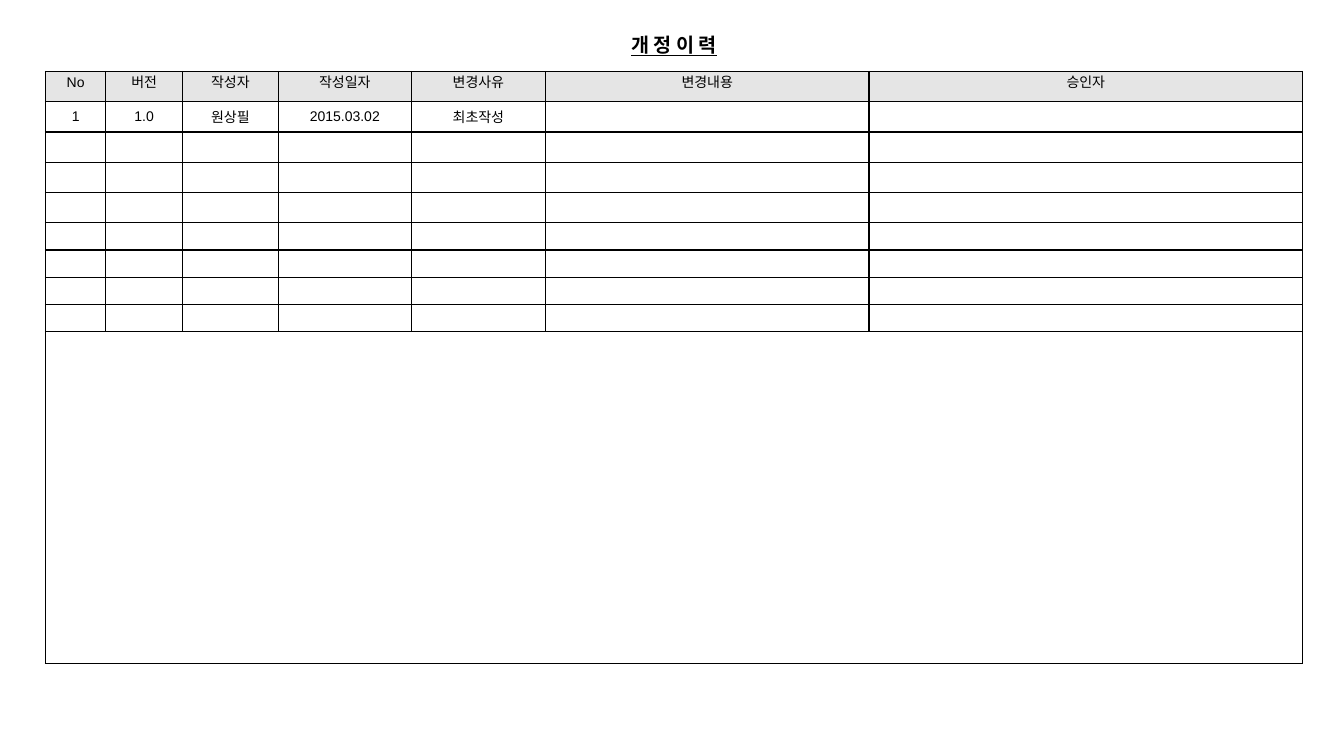
from lxml import etree
from pptx import Presentation
from pptx.dml.color import RGBColor
from pptx.enum.text import MSO_ANCHOR, PP_ALIGN
from pptx.oxml.ns import qn
from pptx.util import Inches, Pt

MIDDLE, CENTER = MSO_ANCHOR.MIDDLE, PP_ALIGN.CENTER
BLACK = RGBColor(0x00, 0x00, 0x00)
HEADER_GRAY = RGBColor(0xE5, 0xE5, 0xE5)
LATIN_FONT, KOREAN_FONT = "Arial", "Noto Sans CJK KR"

TITLE = "개 정 이 력"
HEADERS = ["No", "버전", "작성자", "작성일자", "변경사유", "변경내용", "승인자"]
REVISIONS = [["1", "1.0", "원상필", "2015.03.02", "최초작성", "", ""]]
COLUMN_WIDTHS = [0.6, 0.76, 0.95, 1.32, 1.33, 3.21, 4.3]
ROW_HEIGHTS = [0.3] * 5 + [0.27] * 4 + [3.29]
LEFT, TITLE_TOP, TABLE_TOP = 0.45, 0.26, 0.71
WIDTH, TITLE_HEIGHT = sum(COLUMN_WIDTHS), 0.37

TITLE_FORMAT = {"name": KOREAN_FONT, "size": Pt(14), "bold": True, "underline": True}
CELL_FORMAT = {"name": LATIN_FONT, "size": Pt(10), "bold": False}
CELL_LAYOUT = {"margin_left": 0, "margin_right": 0, "margin_top": 0,
               "margin_bottom": 0, "vertical_anchor": MIDDLE}


def set_attributes(target, values):
    for name, value in values.items():
        setattr(target, name, value)


def write(paragraph, text, font_format):
    """Fill a centred paragraph; Hangul takes the Korean font."""
    paragraph.alignment = CENTER
    span = paragraph.add_run()
    span.text = text
    set_attributes(span.font, font_format)
    span.font.color.rgb = BLACK
    east_asian = etree.SubElement(span.font._element, qn("a:ea"))
    east_asian.set("typeface", KOREAN_FONT)


def add_borders(cell):
    """Draw 1 pt black lines on all four sides, ahead of the cell fill."""
    properties = cell._tc.get_or_add_tcPr()
    for index, side in enumerate(("lnL", "lnR", "lnT", "lnB")):
        line = etree.Element(qn(f"a:{side}"), w=str(Pt(1)))
        fill = etree.SubElement(line, qn("a:solidFill"))
        etree.SubElement(fill, qn("a:srgbClr"), val=str(BLACK))
        properties.insert(index, line)


def format_cell(cell, text, is_header):
    set_attributes(cell, CELL_LAYOUT)
    paragraph = cell.text_frame.paragraphs[0]
    if text:
        write(paragraph, text, CELL_FORMAT)
    else:
        # Small end mark, so that empty rows keep their height
        etree.SubElement(paragraph._p, qn("a:endParaRPr"), sz="1000")
    if is_header:
        paragraph.line_spacing = 0.2
        cell.fill.solid()
        cell.fill.fore_color.rgb = HEADER_GRAY
    else:
        cell.fill.background()
    add_borders(cell)


def add_title(slide):
    title = slide.shapes.title
    set_attributes(title, {"left": Inches(LEFT), "top": Inches(TITLE_TOP),
                           "width": Inches(WIDTH), "height": Inches(TITLE_HEIGHT)})
    title.text_frame.vertical_anchor = MIDDLE
    write(title.text_frame.paragraphs[0], TITLE, TITLE_FORMAT)


def add_history_table(slide):
    table = slide.shapes.add_table(
        len(ROW_HEIGHTS), len(COLUMN_WIDTHS), Inches(LEFT), Inches(TABLE_TOP),
        Inches(WIDTH), Inches(sum(ROW_HEIGHTS))).table
    table.first_row = table.horz_banding = False
    for column, width in zip(table.columns, COLUMN_WIDTHS):
        column.width = Inches(width)
    for row, height in zip(table.rows, ROW_HEIGHTS):
        row.height = Inches(height)

    filled = [HEADERS] + REVISIONS
    blank_rows = [[""] * len(HEADERS)] * (len(ROW_HEIGHTS) - len(filled))
    for row_index, texts in enumerate(filled + blank_rows):
        for column_index, text in enumerate(texts):
            format_cell(table.cell(row_index, column_index), text, row_index == 0)
    last_row = len(ROW_HEIGHTS) - 1
    table.cell(last_row, 0).merge(table.cell(last_row, len(HEADERS) - 1))


def main():
    deck = Presentation()
    deck.slide_width, deck.slide_height = Inches(13.33), Inches(7.5)
    slide = deck.slides.add_slide(deck.slide_layouts.get_by_name("Title Only"))
    add_title(slide)
    add_history_table(slide)
    deck.save("out.pptx")


if __name__ == "__main__":
    main()
